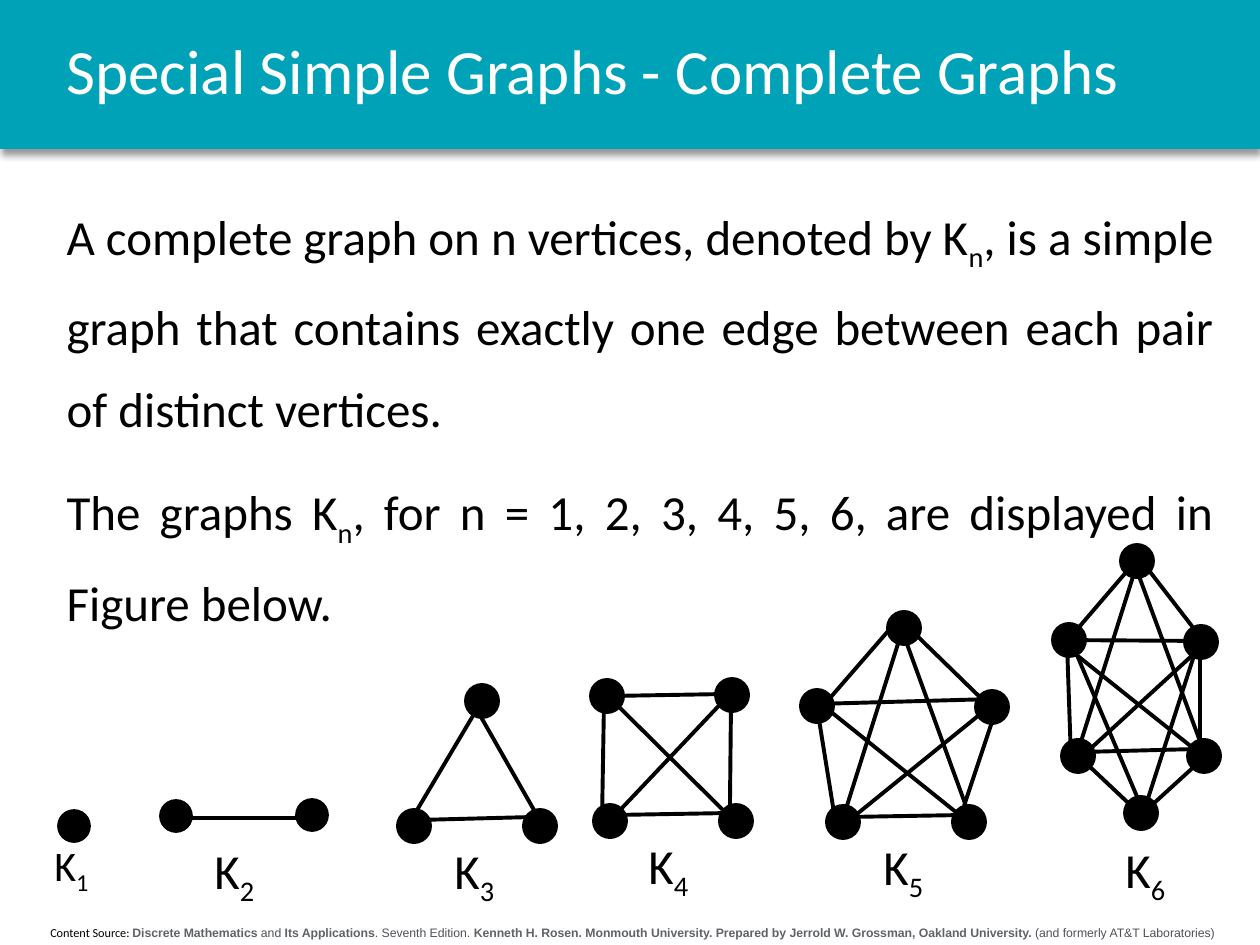
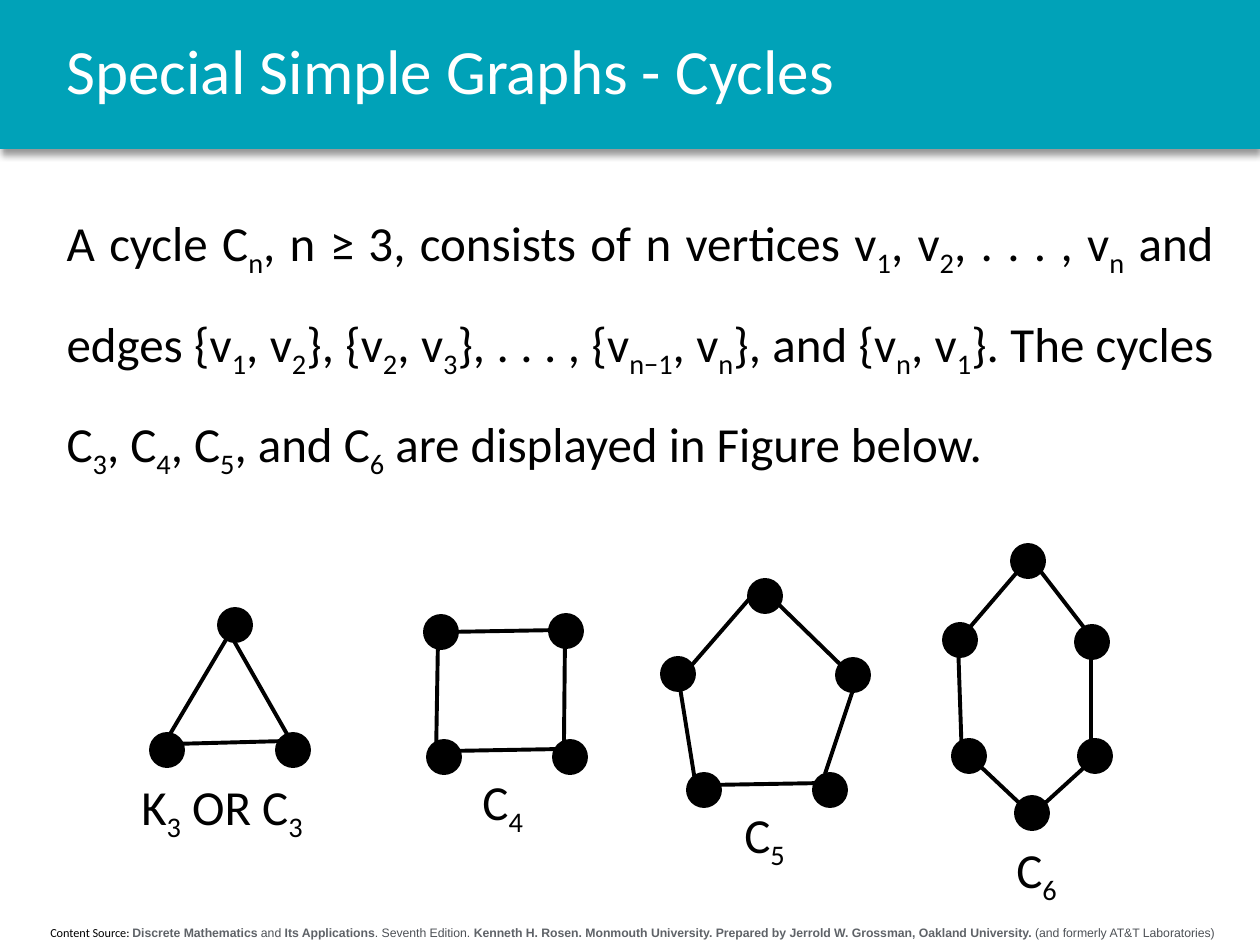
from dataclasses import dataclass

from lxml import etree
from pptx import Presentation
from pptx.dml.color import RGBColor
from pptx.enum import shapes, text
from pptx.oxml import ns
from pptx.util import Pt

PX = 914400 / 126
BLACK, WHITE, TEAL = "000000", "FFFFFF", "00A2B8"
GREY_BOLD, GREY = "5F6368", "4D5156"
FONT = "Calibri"
DOT = 32
LABEL_W, LABEL_H = 84, 72

FOOTER = [
    ("Content Source: ", FONT, BLACK, False),
    ("Discrete Mathematics", "Arial", GREY_BOLD, True),
    (" and ", "Arial", GREY, False),
    ("Its Applications", "Arial", GREY_BOLD, True),
    (". Seventh Edition. ", "Arial", GREY, False),
    ("Kenneth H. Rosen. Monmouth University. Prepared by Jerrold W. Grossman, "
     "Oakland University.", "Arial", GREY_BOLD, True),
    (" (and formerly AT&T Laboratories)", "Arial", GREY, False),
]


@dataclass
class Graph:
    """Dots are top-left corners, edges are (x1, y1, x2, y2), all in px of the graph's box."""
    dots: list
    rim: list
    diagonals: list
    label: tuple
    outline: float = 2.25


POINT = Graph([(0, 0)], [], [], (-16, 23), 1)
SEGMENT = Graph([(0, 1), (136, 0)], [(25, 19, 140, 19)], [], (42, 35), 1)
TRIANGLE = Graph(
    [(0, 125), (68, 0), (126, 125)],
    [(136, 132, 21, 135), (83, 32, 136, 125), (82, 19, 9, 142)],
    [], (44, 149))
SQUARE = Graph(
    [(3, 126), (0, 1), (129, 126), (125, 0)],
    [(139, 134, 24, 136), (140, 25, 139, 126), (13, 25, 11, 144), (135, 15, 20, 17)],
    [(139, 15, 15, 146), (20, 20, 137, 136)], (45, 150))
PENTAGON = Graph(
    [(26, 194), (0, 78), (152, 194), (175, 79), (87, 0)],
    [(163, 203, 48, 205), (194, 101, 163, 194), (16, 95, 35, 213),
     (108, 16, 186, 92), (95, 10, 23, 93)],
    [(194, 87, 16, 92), (198, 87, 40, 215), (24, 95, 161, 205),
     (102, 21, 169, 205), (102, 16, 38, 219)], (70, 218))
HEXAGON = Graph(
    [(9, 195), (0, 79), (135, 195), (132, 81), (68, 0), (72, 252)],
    [(147, 93, 147, 207), (14, 97, 18, 214), (91, 19, 145, 89),
     (81, 18, 15, 95), (18, 204, 88, 270), (88, 270, 155, 209)],
    [(145, 204, 30, 207), (151, 96, -1, 95), (155, 96, 23, 217), (6, 96, 145, 207),
     (83, 23, 151, 207), (84, 19, 20, 222), (18, 96, 91, 268), (147, 92, 91, 266)],
    (60, 288))


def px(*lengths):
    return [round(n * PX) for n in lengths]


def rgb(color):
    return RGBColor.from_string(color)


def add_run(p, words, size, color=BLACK, font=FONT, bold=False):
    r = p.add_run()
    r.text = words
    r.font.size, r.font.name, r.font.bold = Pt(size), font, bold
    r.font.color.rgb = rgb(color)
    return r


def add_math(p, words, size):
    """Add runs; the parts between underscores are subscripts."""
    for i, part in enumerate(words.split("_")):
        r = add_run(p, part, size)
        if i % 2:
            r.font._element.set("baseline", "-25000")


def place(sp, box):
    sp.left, sp.top, sp.width, sp.height = px(*box)


def add_band(slide, box):
    sp = slide.shapes.add_shape(shapes.MSO_SHAPE.RECTANGLE, *px(*box))
    sp.fill.solid()
    sp.fill.fore_color.rgb = rgb(TEAL)
    sp.line.fill.background()
    sp.shadow.inherit = False
    effects = sp.element.spPr.find(ns.qn("a:effectLst"))
    shadow = etree.SubElement(effects, ns.qn("a:outerShdw"), blurRad=str(Pt(4)),
                              dist=str(Pt(3)), dir="5400000", algn="t", rotWithShape="0")
    color = etree.SubElement(shadow, ns.qn("a:srgbClr"), val=BLACK)
    etree.SubElement(color, ns.qn("a:alpha"), val="40000")
    return sp


def add_footer(slide, box):
    sp = slide.shapes.add_textbox(*px(*box))
    tf = sp.text_frame
    tf.word_wrap = True
    p = tf.paragraphs[0]
    p.alignment = text.PP_ALIGN.CENTER
    for words, font, color, bold in FOOTER:
        add_run(p, words, 7, color, font, bold)
    return sp


def move_to_master(prs, parts):
    """Put the shared parts behind everything on the slide master."""
    tree = prs.slide_master.shapes.element
    for i, sp in enumerate(parts):
        sp.element.nvSpPr.cNvPr.set("id", str(50 + i))
        tree.insert(2 + i, sp.element)


def add_title(slide, words, box):
    sp = slide.shapes.title
    place(sp, box)
    tf = sp.text_frame
    tf.auto_size = text.MSO_AUTO_SIZE.NONE
    tf.vertical_anchor = text.MSO_ANCHOR.MIDDLE
    p = tf.paragraphs[0]
    p.alignment, p.line_spacing = text.PP_ALIGN.LEFT, 0.9
    add_run(p, words, 36, WHITE)


def add_body(slide, paragraphs, spacing, box):
    sp = slide.placeholders[1]
    place(sp, box)
    tf = sp.text_frame
    tf.auto_size = text.MSO_AUTO_SIZE.NONE
    for i, words in enumerate(paragraphs):
        p = tf.add_paragraph() if i else tf.paragraphs[0]
        pPr = p._p.get_or_add_pPr()
        pPr.set("marL", "0")
        pPr.set("indent", "0")
        etree.SubElement(pPr, ns.qn("a:buNone"))
        p.alignment, p.line_spacing = text.PP_ALIGN.JUSTIFY, spacing
        p.space_before = Pt(10 if i else 0)
        add_math(p, words, 28)


def add_edge(slide, x1, y1, x2, y2):
    line = slide.shapes.add_connector(shapes.MSO_CONNECTOR.STRAIGHT, *px(x1, y1, x2, y2))
    line.line.color.rgb = rgb(BLACK)
    line.line.width = Pt(2.25)
    etree.SubElement(line.element.spPr, ns.qn("a:effectLst"))


def add_dot(slide, x, y, outline):
    sp = slide.shapes.add_shape(shapes.MSO_SHAPE.OVAL, *px(x, y, DOT, DOT))
    sp.fill.solid()
    sp.fill.fore_color.rgb = rgb(BLACK)
    sp.line.color.rgb = rgb(BLACK)
    sp.line.width = Pt(outline)
    sp.shadow.inherit = False


def add_label(slide, words, x, y, width, size):
    sp = slide.shapes.add_textbox(*px(x, y, width, LABEL_H))
    sp.text_frame.word_wrap = True
    add_math(sp.text_frame.paragraphs[0], words, size)


def add_graph(slide, graph, x, y, name, complete=False, shift=(0, 0), width=LABEL_W, size=28):
    edges = graph.rim + (graph.diagonals if complete else [])
    for x1, y1, x2, y2 in edges:
        add_edge(slide, x + x1, y + y1, x + x2, y + y2)
    for dx, dy in graph.dots:
        add_dot(slide, x + dx, y + dy, graph.outline)
    dx, dy = graph.label
    add_label(slide, name, x + dx + shift[0], y + dy + shift[1], width, size)


def add_slide(prs, title, paragraphs, spacing, body_height):
    slide = prs.slides.add_slide(prs.slide_layouts[1])
    add_title(slide, title, (54, 0, 1172, 149))
    add_body(slide, paragraphs, spacing, (54, 173, 1172, body_height))
    return slide


def complete_graphs(prs):
    slide = add_slide(prs, "Special Simple Graphs - Complete Graphs", [
        "A complete graph on n vertices, denoted by K_n_, is a simple graph that "
        "contains exactly one edge between each pair of distinct vertices.",
        "The graphs K_n_, for n = 1, 2, 3, 4, 5, 6, are displayed in Figure below.",
    ], 1.4, 462)
    add_graph(slide, POINT, 58, 810, "K_1_", size=24)
    figures = [(SEGMENT, 160, 799), (TRIANGLE, 398, 685), (SQUARE, 591, 679),
               (PENTAGON, 801, 612), (HEXAGON, 1053, 545)]
    for n, (graph, x, y) in enumerate(figures, 2):
        add_graph(slide, graph, x, y, f"K_{n}_", complete=True)
    return slide


def cycles(prs):
    slide = add_slide(prs, "Special Simple Graphs - Cycles", [
        "A cycle C_n_, n ≥ 3, consists of n vertices v_1_, v_2_, . . . , v_n_ and edges "
        "{v_1_, v_2_}, {v_2_, v_3_}, . . . , {v_n−1_, v_n_}, and {v_n_, v_1_}. "
        "The cycles C_3_, C_4_, C_5_, and C_6_ are displayed in Figure below.",
    ], 1.5, 358)
    add_graph(slide, TRIANGLE, 151, 609, "K_3_ OR C_3_", shift=(-66, 12), width=227)
    figures = [(SQUARE, 425, 615), (PENTAGON, 662, 580), (HEXAGON, 944, 545)]
    for n, (graph, x, y) in enumerate(figures, 4):
        add_graph(slide, graph, x, y, f"C_{n}_")


def main():
    prs = Presentation()
    prs.slide_width, prs.slide_height = px(1260, 945)
    slide = complete_graphs(prs)
    move_to_master(prs, [add_band(slide, (0, 0, 1260, 149)),
                         add_footer(slide, (5, 919, 1255, 28))])
    cycles(prs)
    prs.save("out.pptx")


if __name__ == "__main__":
    main()
